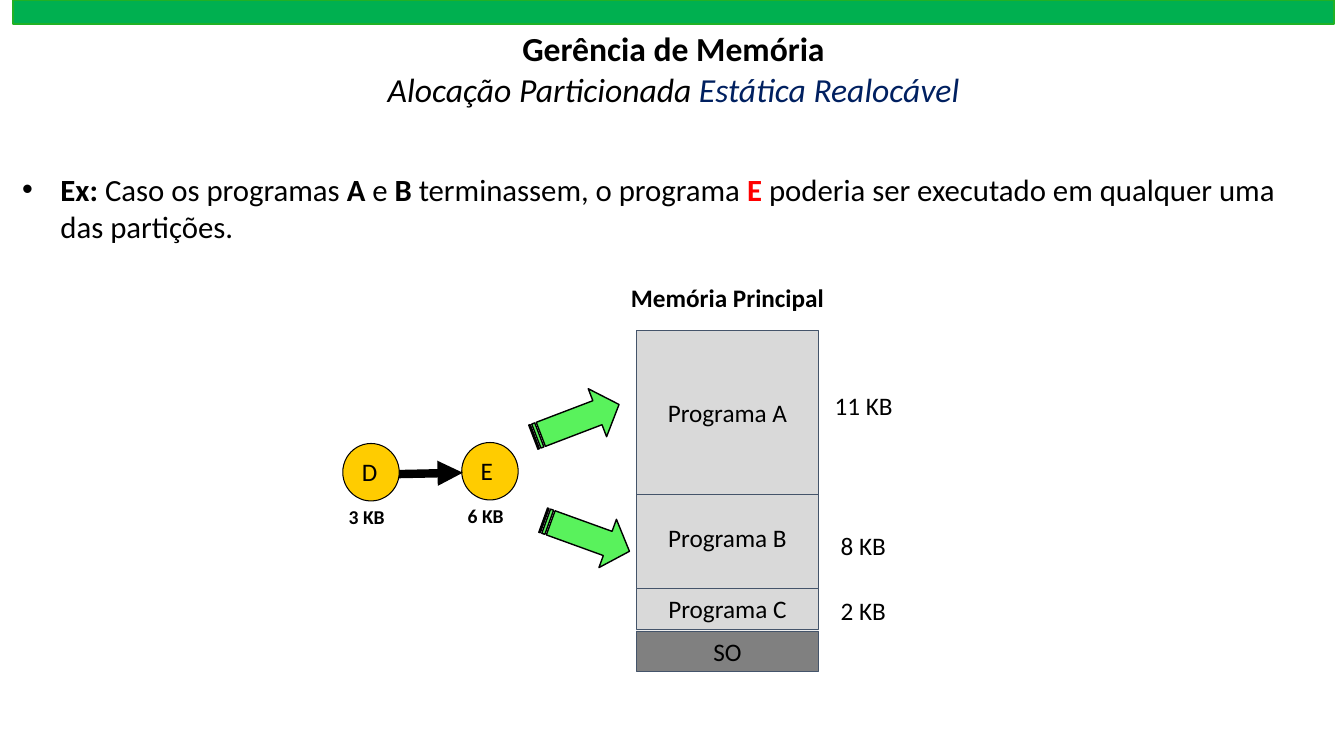
from lxml import etree
from pptx import Presentation
from pptx import util as u
from pptx.dml.color import RGBColor
from pptx.enum import shapes, text
from pptx.oxml import ns

COLUMN = ROW = u.Inches(0.1)
FONT = "Calibri"
COLORS = {
    "text": "000000", "navy": "002060", "red": "FF0000",
    "banner": "00B050", "banner_edge": "21B125",
    "partition": "D9D9D9", "system": "808080", "partition_edge": "44546A",
    "job": "FFCC00", "arrow": "59F25C",
}


def color(name):
    return RGBColor.from_string(COLORS[name])


def grid(left, top, width, height):
    """Turn columns and rows into slide lengths."""
    return (int(left * COLUMN), int(top * ROW), int(width * COLUMN), int(height * ROW))


def add_xml(parent, tag, **attributes):
    return etree.SubElement(parent, ns.qn(tag), attributes)


def style_run(run, size, bold=False, italic=False, ink="text"):
    run.font.name = FONT
    run.font.size = u.Pt(size)
    run.font.bold = bold
    run.font.italic = italic
    run.font.color.rgb = color(ink)


def add_runs(paragraph, size, runs):
    """Fill a paragraph from (wording, format) pairs."""
    for wording, run_format in runs:
        run = paragraph.add_run()
        run.text = wording
        style_run(run, size, **run_format)


def add_box(slide, kind, cell, fill, edge, edge_width):
    shape = slide.shapes.add_shape(kind, *grid(*cell))
    shape.shadow.inherit = False
    shape.fill.solid()
    shape.fill.fore_color.rgb = color(fill)
    shape.line.color.rgb = color(edge)
    shape.line.width = u.Pt(edge_width)
    return shape


def add_label(slide, wording, cell, size=18, bold=False):
    frame = slide.shapes.add_textbox(*grid(*cell)).text_frame
    frame.word_wrap = False
    frame.text = wording
    style_run(frame.paragraphs[0].runs[0], size, bold)


def add_partition(slide, name, top, height, fill="partition"):
    shape = add_box(slide, shapes.MSO_SHAPE.RECTANGLE, (63.1, top, 18.1, height),
                    fill, "partition_edge", 0.25)
    frame = shape.text_frame
    frame.vertical_anchor = text.MSO_ANCHOR.MIDDLE
    frame.text = name
    frame.paragraphs[0].alignment = text.PP_ALIGN.CENTER
    style_run(frame.paragraphs[0].runs[0], 18)


def add_job(slide, name, size, left, top):
    """Draw a waiting program as a circle with its size below."""
    add_box(slide, shapes.MSO_SHAPE.OVAL, (left, top, 5.6, 5.7), "job", "text", 0.75)
    add_label(slide, name, (left + 0.9, top + 0.8, 3.4, 4))
    add_label(slide, size, (left - 0.4, top + 5.6, 5.6, 3.4), size=14, bold=True)


def add_choice_arrow(slide, left, top, rotation):
    arrow = add_box(slide, shapes.MSO_SHAPE.STRIPED_RIGHT_ARROW,
                    (left, top, 9.1, 5.1), "arrow", "text", 1)
    arrow.adjustments[1] = 0.45
    arrow.rotation = rotation


def add_queue_link(slide, start, end):
    points = grid(*start, *end)
    link = slide.shapes.add_connector(shapes.MSO_CONNECTOR.STRAIGHT, *points)
    link.line.color.rgb = color("text")
    link.line.width = u.Pt(6)
    add_xml(link.line._get_or_add_ln(), "a:tailEnd", type="triangle")
    add_xml(link._element.spPr, "a:effectLst")


def place_placeholder(placeholder, cell):
    placeholder.left, placeholder.top, placeholder.width, placeholder.height = grid(*cell)
    frame = placeholder.text_frame
    frame.word_wrap = True
    frame.auto_size = text.MSO_AUTO_SIZE.NONE
    frame.vertical_anchor = text.MSO_ANCHOR.TOP
    return frame


def fill_title(slide):
    frame = place_placeholder(slide.shapes.title, (28.6, 2.3, 76.4, 9.1))
    lines = [
        [("Gerência de Memória", {"bold": True})],
        [("Alocação Particionada ", {"italic": True}),
         ("Estática Realocável", {"italic": True, "ink": "navy"})],
    ]
    for index, runs in enumerate(lines):
        paragraph = frame.add_paragraph() if index else frame.paragraphs[0]
        paragraph.alignment = text.PP_ALIGN.CENTER
        add_runs(paragraph, 24, runs)


def fill_example(slide):
    frame = place_placeholder(slide.placeholders[1], (1.2, 16.4, 131.1, 8.4))
    paragraph = frame.paragraphs[0]
    paragraph.space_before = u.Pt(0)
    properties = paragraph._p.get_or_add_pPr()
    indent = u.Inches(0.38)
    properties.set("marL", str(indent))
    properties.set("indent", str(-indent))
    add_xml(properties, "a:buFont", typeface="Arial")
    add_xml(properties, "a:buChar", char="•")
    bold = {"bold": True}
    add_runs(paragraph, 22, [
        ("Ex: ", bold), ("Caso os programas ", {}), ("A", bold), (" e ", {}),
        ("B", bold), (" terminassem, o programa ", {}),
        ("E", {"bold": True, "ink": "red"}),
        (" poderia ser executado em qualquer uma das partições.", {}),
    ])


def draw_memory(slide):
    add_label(slide, "Memória Principal", (61.6, 27.5, 21.6, 4), bold=True)
    add_partition(slide, "Programa C", 58.4, 4)
    add_partition(slide, "SO", 62.6, 4, "system")
    add_partition(slide, "Programa B", 48.3, 10.1)
    add_partition(slide, "Programa A", 32.8, 16.2)
    add_label(slide, "11 KB", (81.8, 38.2, 7.8, 4))
    add_label(slide, "8 KB", (82.4, 52.1, 6.6, 4))
    add_label(slide, "2 KB", (82.4, 58.6, 6.6, 4))


def draw_queue(slide):
    add_job(slide, "E", "6 KB", 45.8, 43.9)
    add_queue_link(slide, (36.4, 47.1), (45.9, 46.9))
    add_choice_arrow(slide, 52.6, 39.2, 339.1)
    add_choice_arrow(slide, 53.6, 50.6, 19.9)
    add_job(slide, "D", "3 KB", 34, 44)


def main():
    presentation = Presentation()
    presentation.slide_width = u.Inches(13.33)
    presentation.slide_height = u.Inches(7.5)
    slide = presentation.slides.add_slide(presentation.slide_layouts[1])
    draw_memory(slide)
    draw_queue(slide)
    fill_title(slide)
    add_box(slide, shapes.MSO_SHAPE.RECTANGLE, (1.3, 0, 131, 2.4),
            "banner", "banner_edge", 1)
    fill_example(slide)
    presentation.save("out.pptx")


if __name__ == "__main__":
    main()
